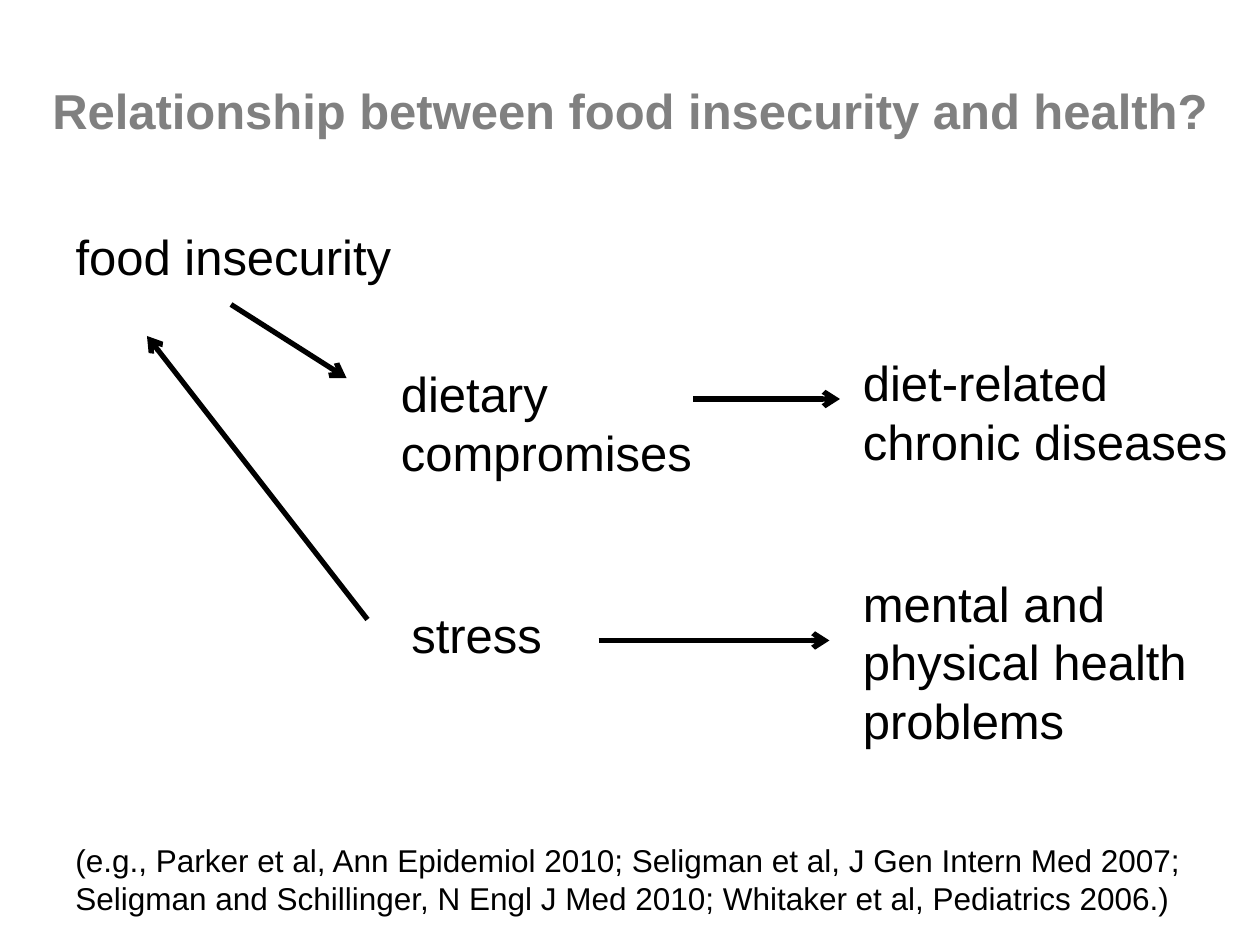
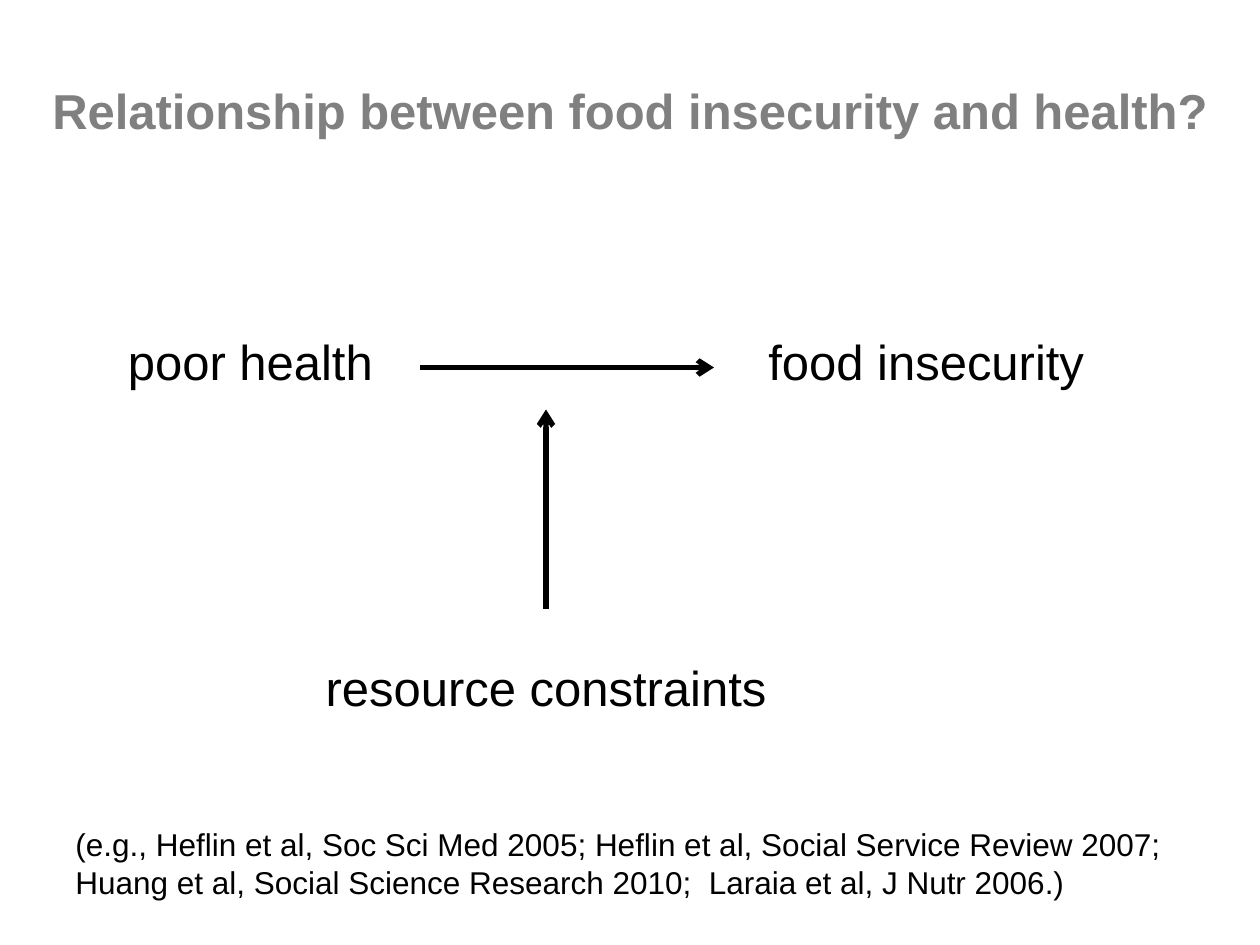
from dataclasses import dataclass

from lxml import etree
from pptx import Presentation
from pptx import util as u
from pptx.dml.color import RGBColor
from pptx.enum import shapes, text
from pptx.oxml.ns import qn


@dataclass(frozen=True)
class Theme:
    font: str = "Arial"
    heading: str = "808080"
    ink: str = "000000"
    main_size: int = 28
    source_size: int = 18
    list_space: float = 6.4
    arrow_weight: int = 3


class Diagram:
    COLUMNS, ROWS = 120, 90
    TITLE_AREA = (3, 3, 114, 15)
    LIST_AREA = (6, 21, 108, 59.4)
    ONE_LINE, TWO_LINES, THREE_LINES = 6.8, 12.4, 18
    SOURCE_HEIGHT = 8.4

    def __init__(self, theme):
        self.theme = theme
        self.deck = Presentation()
        self.deck.slide_width, self.deck.slide_height = u.Inches(10), u.Inches(7.5)
        self.slide = None

    def x(self, columns):
        return round(self.deck.slide_width * columns / self.COLUMNS)

    def y(self, rows):
        return round(self.deck.slide_height * rows / self.ROWS)

    def area(self, left, top, width, height):
        return self.x(left), self.y(top), self.x(width), self.y(height)

    def set_words(self, holder, words, size, color, align=text.PP_ALIGN.LEFT, bold=False):
        frame = holder.text_frame
        frame.text = words
        frame.word_wrap = True
        frame.auto_size = text.MSO_AUTO_SIZE.NONE
        paragraph = frame.paragraphs[0]
        paragraph.alignment = align
        for run in paragraph.runs:
            run.font.name = self.theme.font
            run.font.size = u.Pt(size)
            run.font.bold = bold
            run.font.color.rgb = RGBColor.from_string(color)
        return paragraph

    def place(self, holder, area):
        holder.left, holder.top, holder.width, holder.height = self.area(*area)

    def start(self, title, layout):
        self.slide = self.deck.slides.add_slide(self.deck.slide_layouts.get_by_name(layout))
        heading = self.slide.shapes.title
        self.place(heading, self.TITLE_AREA)
        self.set_words(heading, title, self.theme.main_size, self.theme.heading,
                       text.PP_ALIGN.CENTER, True)
        heading.text_frame.vertical_anchor = text.MSO_ANCHOR.MIDDLE

    def list_item(self, words):
        body = self.slide.placeholders[1]
        self.place(body, self.LIST_AREA)
        item = self.set_words(body, words, self.theme.main_size, self.theme.ink)
        item.space_before = u.Pt(self.theme.list_space)
        etree.SubElement(item._p.get_or_add_pPr(), qn("a:buNone"))

    def label(self, words, left, top, width, height=ONE_LINE,
              align=text.PP_ALIGN.LEFT, size=None):
        box = self.slide.shapes.add_textbox(*self.area(left, top, width, height))
        self.set_words(box, words, size or self.theme.main_size, self.theme.ink, align)

    def sources(self, words, top, width):
        self.label(words, 6, top, width, self.SOURCE_HEIGHT, size=self.theme.source_size)

    def arrow(self, start, end):
        link = self.slide.shapes.add_connector(
            shapes.MSO_CONNECTOR.STRAIGHT,
            self.x(start[0]), self.y(start[1]), self.x(end[0]), self.y(end[1]))
        link.line.color.rgb = RGBColor.from_string(self.theme.ink)
        link.line.width = u.Pt(self.theme.arrow_weight)
        properties = link._element.spPr
        etree.SubElement(properties.find(qn("a:ln")), qn("a:tailEnd"), type="arrow")
        etree.SubElement(properties, qn("a:effectLst"))


def insecurity_to_health(diagram, title):
    diagram.start(title, "Title and Content")
    diagram.list_item("food insecurity")
    diagram.arrow((22, 29), (33, 36))
    diagram.label("dietary compromises", 37, 34, 31, diagram.TWO_LINES)
    diagram.arrow((66, 38), (80, 38))
    diagram.label("diet-related chronic diseases", 81, 33, 39, diagram.TWO_LINES)
    diagram.arrow((35, 59), (14, 32))
    diagram.label("stress", 38, 57, 20)
    diagram.arrow((57, 61), (79, 61))
    diagram.label("mental and physical health problems", 81, 54, 34, diagram.THREE_LINES)
    diagram.sources(
        "(e.g., Parker et al, Ann Epidemiol 2010; Seligman et al, J Gen Intern Med 2007; "
        "Seligman and Schillinger, N Engl J Med 2010; Whitaker et al, Pediatrics 2006.)",
        79.5, 109)


def health_to_insecurity(diagram, title):
    diagram.start(title, "Title Only")
    diagram.arrow((40, 35), (68, 35))
    diagram.label("poor health", 11, 31, 44)
    diagram.arrow((52, 58), (52, 39))
    diagram.label("food insecurity", 72, 31, 38)
    diagram.label("resource constraints", 25, 62, 54, align=text.PP_ALIGN.CENTER)
    diagram.sources(
        "(e.g., Heflin et al, Soc Sci Med 2005; Heflin et al, Social Service Review 2007; "
        "Huang et al, Social Science Research 2010;  Laraia et al, J Nutr 2006.)",
        78, 108)


def main():
    diagram = Diagram(Theme())
    question = "Relationship between food insecurity and health?"
    insecurity_to_health(diagram, question)
    health_to_insecurity(diagram, question)
    diagram.deck.save("out.pptx")


if __name__ == "__main__":
    main()
